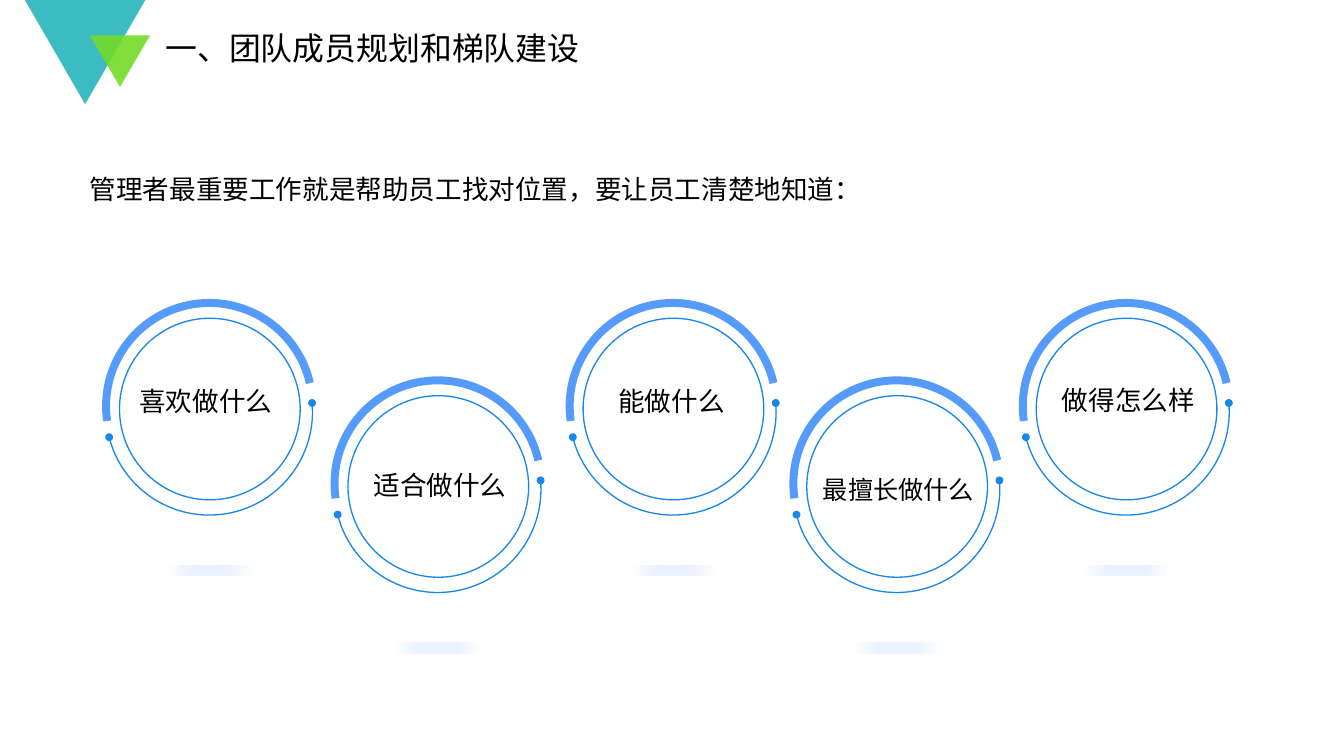
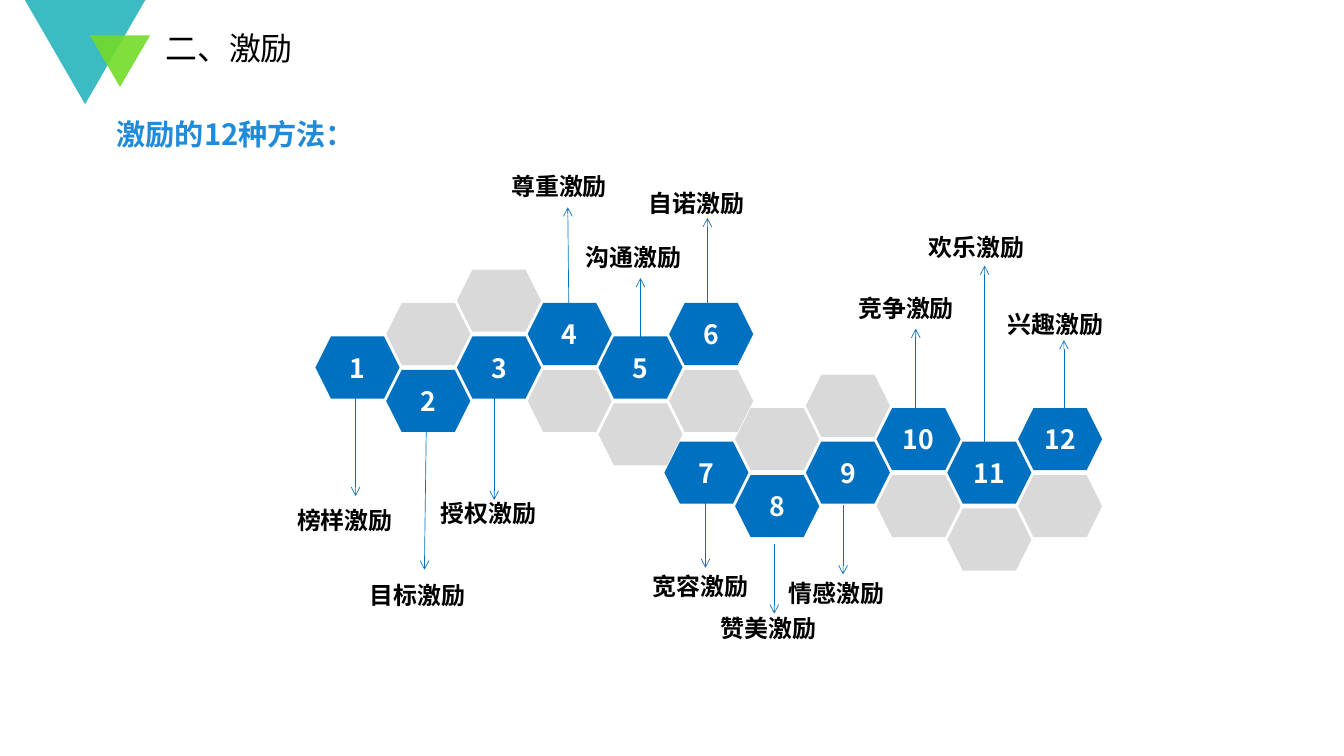
import pptx
import pptx.util
import pptx.dml.color
import pptx.enum.shapes
import pptx.enum.text
import pptx.oxml
import pptx.oxml.ns

Inches = pptx.util.Inches
Pt = pptx.util.Pt
RGBColor = pptx.dml.color.RGBColor
Shape = pptx.enum.shapes.MSO_SHAPE
Anchor = pptx.enum.text.MSO_ANCHOR
Align = pptx.enum.text.PP_ALIGN
AutoSize = pptx.enum.text.MSO_AUTO_SIZE

BLACK = RGBColor(0x00, 0x00, 0x00)
WHITE = RGBColor(0xFF, 0xFF, 0xFF)
TEAL = RGBColor(0x29, 0xB4, 0xBD)
GREEN = RGBColor(0x73, 0xDB, 0x29)
RING_BLUE = RGBColor(0x18, 0x87, 0xEA)
ARC_BLUE = RGBColor(0x54, 0x9B, 0xFC)
GLOW = RGBColor(0xEA, 0xF2, 0xFF)
LEAD_BLUE = RGBColor(0x20, 0x8B, 0xD9)
CELL_BLUE = RGBColor(0x00, 0x70, 0xC0)
CELL_GRAY = RGBColor(0xD9, 0xD9, 0xD9)
FONT = "Noto Sans CJK SC"
TITLE_FONT = "Arial"

CORNER_TRIANGLES = [(0.26, 0, 1.26, 1.09, TEAL), (0.94, 0.37, 0.63, 0.54, GREEN)]

PLANNING_TITLE = "一、团队成员规划和梯队建设"
PLANNING_LEAD = "管理者最重要工作就是帮助员工找对位置，要让员工清楚地知道："
# ring left, label, label left, label top, label width, size
RINGS = [
    (1.11, "喜欢做什么", 1.36, 3.98, 1.61, 20),
    (3.50, "适合做什么", 3.81, 4.86, 1.61, 20),
    (5.96, "能做什么", 6.37, 3.98, 1.34, 20),
    (8.30, "最擅长做什么", 8.51, 4.91, 1.85, 19),
    (10.70, "做得怎么样", 11.01, 3.97, 1.61, 20),
]
RING_TOPS = (3.17, 3.98)
RING_SIZE = 2.16

MOTIVATION_TITLE = "二、激励"
MOTIVATION_LEAD = "激励的12种方法："
# label, label left, top, width, arrow start, arrow end
METHODS = [
    ("榜样激励", 3.01, 5.24, 1.43, (3.72, 4.09), (3.72, 5.19)),
    ("目标激励", 3.77, 6.03, 1.51, (4.46, 4.44), (4.44, 5.96)),
    ("授权激励", 4.51, 5.17, 1.55, (5.17, 4.13), (5.17, 5.23)),
    ("尊重激励", 5.25, 1.75, 1.38, (5.95, 3.19), (5.94, 2.17)),
    ("沟通激励", 6.03, 2.49, 1.34, (6.70, 3.60), (6.70, 2.91)),
    ("自诺激励", 6.69, 1.92, 1.46, (7.40, 3.23), (7.40, 2.28)),
    ("宽容激励", 6.73, 5.93, 1.57, (7.38, 5.21), (7.38, 5.94)),
    ("赞美激励", 7.44, 6.37, 1.64, (8.10, 5.69), (8.10, 6.42)),
    ("情感激励", 8.15, 6.00, 1.37, (8.82, 5.28), (8.82, 6.01)),
    ("竞争激励", 8.88, 3.02, 1.40, (9.58, 4.27), (9.58, 3.44)),
    ("欢乐激励", 9.62, 2.38, 1.40, (10.30, 4.73), (10.30, 2.78)),
    ("兴趣激励", 10.44, 3.19, 1.40, (11.13, 4.31), (11.13, 3.56)),
]
# Honeycomb cells: column, half-row, numbered or not; the cluster appears twice
CLUSTER = [
    (0, 2, True), (1, 1, False), (1, 3, True), (2, 0, False), (2, 2, True),
    (3, 1, True), (3, 3, False), (4, 2, True), (4, 4, False), (5, 1, True),
    (5, 3, False),
]
CLUSTER_ORIGINS = [(3.30, 2.82), (6.95, 3.92)]
COLUMN_STEP, HALF_ROW_STEP = 0.74, 0.35
CELL_WIDTH, CELL_HEIGHT = 0.88, 0.65


def xml(tag, attributes="", children=""):
    namespace = pptx.oxml.ns.nsdecls("a")
    return pptx.oxml.parse_xml(f"<a:{tag} {namespace} {attributes}>{children}</a:{tag}>")


def write(paragraph, text, size, color=BLACK, bold=False, font=FONT):
    run = paragraph.add_run()
    run.text = text
    run.font.size = Pt(size)
    run.font.bold = bold
    run.font.color.rgb = color
    run.font.name = font
    run.font.element if hasattr(run.font, "element") else None
    run._r.get_or_add_rPr().append(xml("ea", f'typeface="{FONT}"'))


def set_margins(frame, left=0, top=0, right=0, bottom=0):
    frame.margin_left, frame.margin_top = Inches(left), Inches(top)
    frame.margin_right, frame.margin_bottom = Inches(right), Inches(bottom)


def add_text(slide, box, text, size, **style):
    frame = slide.shapes.add_textbox(*map(Inches, box)).text_frame
    frame.word_wrap = True
    write(frame.paragraphs[0], text, size, **style)
    return frame


def add_shape(slide, kind, box, fill=None, line=None, width=1):
    shape = slide.shapes.add_shape(kind, *map(Inches, box))
    shape.shadow.inherit = False
    if fill is None:
        shape.fill.background()
    else:
        shape.fill.solid()
        shape.fill.fore_color.rgb = fill
    if line is None:
        shape.line.fill.background()
    else:
        shape.line.color.rgb = line
        shape.line.width = Pt(width)
    return shape


def add_arc(slide, box, start, end, color, width):
    """Draw clockwise from start to end, in degrees from the right."""
    arc = add_shape(slide, Shape.ARC, box, line=color, width=width)
    arc.adjustments[0] = start * 0.6
    arc.adjustments[1] = end * 0.6
    return arc


def add_glow(slide, box):
    """Draw a soft strip that fades out at both ends."""
    strip = add_shape(slide, Shape.RECTANGLE, box, GLOW)
    stops = "".join(
        f'<a:gs pos="{position * 1000}"><a:srgbClr val="{color}"/></a:gs>'
        for position, color in [(0, WHITE), (30, GLOW), (70, GLOW), (100, WHITE)])
    gradient = xml("gradFill", "", f'<a:gsLst>{stops}</a:gsLst><a:lin ang="0"/>')
    properties = strip.element.spPr
    properties.replace(properties.find(pptx.oxml.ns.qn("a:solidFill")), gradient)


def add_arrow(slide, start, end):
    arrow = slide.shapes.add_connector(
        pptx.enum.shapes.MSO_CONNECTOR.STRAIGHT, *map(Inches, start + end))
    arrow.line.color.rgb = CELL_BLUE
    arrow.line.width = Pt(0.5)
    arrow.line._get_or_add_ln().append(xml("tailEnd", 'type="arrow"'))
    arrow.element.spPr.append(xml("effectLst"))


def dress_layout(layout, slide):
    """Place the title and move the corner triangles onto the layout."""
    title = layout.placeholders[0]
    title.left, title.top = Inches(1.73), Inches(0.3)
    title.width, title.height = Inches(10.93), Inches(0.4)
    for index, (*box, color) in enumerate(CORNER_TRIANGLES):
        triangle = add_shape(slide, Shape.ISOSCELES_TRIANGLE, box, color)
        triangle.rotation = 180
        fill = triangle.element.spPr.find(pptx.oxml.ns.qn("a:solidFill"))
        fill[0].append(xml("alpha", 'val="90000"'))
        triangle.element.nvSpPr.cNvPr.set("id", str(100 + index))
        layout.shapes.element.insert(2 + index, triangle.element)


def add_slide(presentation, layout, title):
    slide = presentation.slides.add_slide(layout)
    frame = slide.shapes.title.text_frame
    set_margins(frame)
    frame.vertical_anchor = Anchor.MIDDLE
    frame.auto_size = AutoSize.NONE
    frame.paragraphs[0].alignment = Align.LEFT
    write(frame.paragraphs[0], title, 24, font=TITLE_FONT)
    return slide


def fill_planning(slide):
    add_text(slide, (0.84, 1.76, 11.15, 0.44), PLANNING_LEAD, 20)
    for index, (left, *_) in enumerate(RINGS):
        top = RING_TOPS[index % 2]
        add_glow(slide, (left + 0.61, top + 2.74, 0.95, 0.12))
        add_shape(slide, Shape.OVAL, (left + 0.14, top + 0.16, 1.89, 1.9), WHITE, RING_BLUE)
        add_arc(slide, (left, top, RING_SIZE, RING_SIZE), 171.76, 347.08, ARC_BLUE, 6)
        lower = add_arc(slide, (left, top + 0.06, RING_SIZE, RING_SIZE),
                        355.06, 165.79, RING_BLUE, 1)
        for end in ("headEnd", "tailEnd"):
            lower.line._get_or_add_ln().append(xml(end, 'type="oval"'))
    for _, label, left, top, width, size in RINGS:
        add_text(slide, (left, top, width, 0.44), label, size)


def fill_motivation(slide):
    lead = add_text(slide, (1.08, 0.88, 7.36, 0.84), MOTIVATION_LEAD, 22,
                    color=LEAD_BLUE, bold=True)
    set_margins(lead, 0.14, 0.14, 0.06, 0.14)
    lead.vertical_anchor = Anchor.BOTTOM
    lead.paragraphs[0].line_spacing = 1.2

    number = 0
    for left, top in CLUSTER_ORIGINS:
        for column, half_row, numbered in CLUSTER:
            box = (left + column * COLUMN_STEP, top + half_row * HALF_ROW_STEP,
                   CELL_WIDTH, CELL_HEIGHT)
            cell = add_shape(slide, Shape.HEXAGON, box, CELL_BLUE if numbered else CELL_GRAY)
            if numbered:
                number += 1
                frame = cell.text_frame
                set_margins(frame)
                frame.vertical_anchor = Anchor.MIDDLE
                frame.paragraphs[0].alignment = Align.CENTER
                write(frame.paragraphs[0], str(number), 20, WHITE, True)

    for *_, start, end in METHODS:
        add_arrow(slide, start, end)
    for label, left, top, width, *_ in METHODS:
        add_text(slide, (left, top, width, 0.42), label, 18, bold=True)


def main():
    presentation = pptx.Presentation()
    presentation.slide_width = Inches(14.06)
    presentation.slide_height = Inches(7.91)
    layout = presentation.slide_layouts.get_by_name("Title Only")
    planning = add_slide(presentation, layout, PLANNING_TITLE)
    dress_layout(layout, planning)
    fill_planning(planning)
    fill_motivation(add_slide(presentation, layout, MOTIVATION_TITLE))
    presentation.save("out.pptx")


if __name__ == "__main__":
    main()
